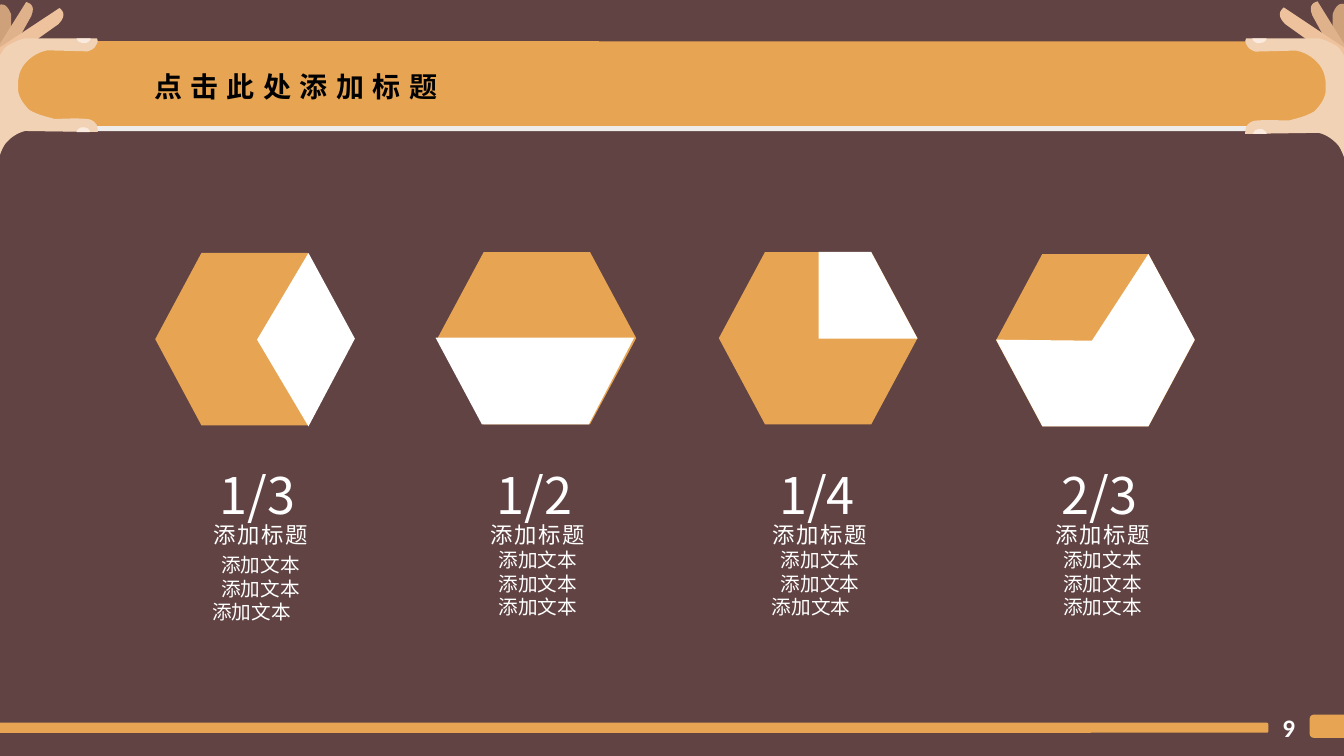
"""Build a slide with four hexagon fractions under a banner held by two hands."""
from dataclasses import dataclass
from typing import Callable

from lxml import etree
from pptx import Presentation
from pptx import util as u
from pptx.dml import color
from pptx.enum import shapes, text
from pptx.oxml import ns

COLORS = {
    "backdrop": "2D0505", "white": "FFFFFF", "black": "000000", "orange": "E7A553",
    "back_finger": "CFA17B", "middle_finger": "DFB28B", "front_finger": "EEC29D",
    "palm": "F1D2B5", "nail": "FBEBDE",
}
FONT = "Noto Sans CJK SC"
Point = tuple[float, float]


@dataclass(frozen=True)
class Outline:
    """A closed outline; two numbers make a line, six make a curve."""
    color: str
    segments: list[tuple[float, ...]]


@dataclass(frozen=True)
class Block:
    """A rectangle, rounded or plain."""
    kind: shapes.MSO_SHAPE
    color: str
    box: tuple[float, float, float, float]
    opacity: int = 100


@dataclass(frozen=True)
class Style:
    """The look of the text in one box."""
    size: int
    color: str = "white"
    font: str = FONT
    bold: bool = False
    spacing: float = 0
    centered: bool = False
    wrap: bool = False


@dataclass(frozen=True)
class Column:
    """One hexagon with its white part and its texts."""
    fraction: str
    hexagon: Point
    text_left: float
    body_top: float
    last_indent: float
    wedge: list[Point]


ROUNDED = shapes.MSO_SHAPE.ROUNDED_RECTANGLE
BACK_BLOCKS = [
    Block(shapes.MSO_SHAPE.RECTANGLE, "backdrop", (0, 0, 13.33, 7.5), 75),
    Block(ROUNDED, "white", (0.3, 0.46, 13.2, 0.84), 90),
    Block(ROUNDED, "orange", (0.13, 0.41, 13.2, 0.84)),
]
FOOTER_BLOCKS = [
    Block(ROUNDED, "orange", (-0.11, 7.17, 12.69, 0.1)),
    Block(ROUNDED, "orange", (12.99, 7.09, 0.57, 0.23)),
]
HAND = [
    Outline("back_finger", [
        (-0.02, 0.75), (-0.02, 0.05), (0, 0.05, 0.06, 0.01, 0.11, 0.14), (0.12, 0.85)]),
    Outline("middle_finger", [
        (-0.11, 0.61), (0.26, 0.02), (0.28, 0.03, 0.36, 0.04, 0.31, 0.16), (-0.04, 0.79)]),
    Outline("front_finger", [
        (-0.03, 0.49), (0.59, 0.08), (0.6, 0.09, 0.68, 0.14, 0.58, 0.24), (-0.04, 0.68)]),
    Outline("palm", [
        (-0.04, 0.69), (-0.02, 0.65, -0.03, 0.59, 0, 0.55),
        (0.03, 0.5, 0.05, 0.46, 0.1, 0.44), (0.14, 0.42, 0.17, 0.4, 0.25, 0.38),
        (0.96, 0.38), (0.98, 0.41, 0.96, 0.44, 0.94, 0.47),
        (0.92, 0.49, 0.9, 0.5, 0.87, 0.51), (0.47, 0.5),
        (0.36, 0.52, 0.27, 0.59, 0.22, 0.67), (0.17, 0.76, 0.18, 0.84, 0.18, 0.9),
        (0.19, 0.98, 0.25, 1.05, 0.29, 1.09), (0.37, 1.14, 0.47, 1.16, 0.54, 1.18),
        (0.65, 1.18, 0.74, 1.17, 0.85, 1.18), (0.91, 1.18, 0.94, 1.21, 0.96, 1.24),
        (0.97, 1.27, 0.97, 1.29, 0.97, 1.31), (0.25, 1.3),
        (0.16, 1.32, 0.09, 1.38, 0.05, 1.43), (0, 1.51, -0.01, 1.58, -0.04, 1.65)]),
    Outline("nail", [
        (0.76, 0.38), (0.76, 0.39, 0.78, 0.42, 0.8, 0.42),
        (0.82, 0.43, 0.85, 0.43, 0.87, 0.42), (0.88, 0.41, 0.9, 0.4, 0.9, 0.38)]),
    Outline("nail", [
        (0.89, 1.31), (0.9, 1.3, 0.87, 1.27, 0.86, 1.27),
        (0.84, 1.26, 0.81, 1.26, 0.79, 1.27), (0.78, 1.28, 0.76, 1.29, 0.76, 1.31)]),
]
COLUMNS = [
    Column("1/3", (1.54, 2.51), 1.7, 5.44, 0.18,
           [(3.06, 2.51), (2.55, 3.37), (3.06, 4.23), (3.52, 3.36)]),
    Column("1/2", (4.34, 2.5), 4.45, 5.39, 0,
           [(4.32, 3.35), (4.78, 4.21), (5.84, 4.21), (6.29, 3.35)]),
    Column("1/4", (7.13, 2.5), 7.25, 5.39, 0.18,
           [(8.12, 2.5), (8.12, 3.36), (9.1, 3.36), (8.64, 2.5)]),
    Column("2/3", (9.88, 2.52), 10.05, 5.39, 0,
           [(9.88, 3.37), (10.34, 4.23), (11.39, 4.23), (11.85, 3.37),
            (11.39, 2.52), (10.83, 3.38)]),
]


def paint(shape, color_name: str, opacity: int = 100) -> None:
    """Give a shape a flat fill without line or shadow."""
    shape.shadow.inherit = False
    shape.line.fill.background()
    shape.fill.solid()
    shape.fill.fore_color.rgb = color.RGBColor.from_string(COLORS[color_name])
    if opacity < 100:
        fill_color = shape._element.spPr.find(".//" + ns.qn("a:srgbClr"))
        etree.SubElement(fill_color, ns.qn("a:alpha")).set("val", str(opacity * 1000))


def draw_block(slide, block: Block):
    """Draw a block and return its shape."""
    shape = slide.shapes.add_shape(block.kind, *map(u.Inches, block.box))
    paint(shape, block.color, block.opacity)
    return shape


def flatten(segments: list[tuple[float, ...]], steps: int = 8) -> list[Point]:
    """Turn lines and curves into points."""
    points: list[Point] = []
    for segment in segments:
        if len(segment) == 2:
            points.append((segment[0], segment[1]))
            continue
        start = points[-1]
        for step in range(1, steps + 1):
            t = step / steps
            s = 1 - t
            weights = (s ** 3, 3 * s * s * t, 3 * s * t * t, t ** 3)
            x, y = (sum(weight * value for weight, value in
                        zip(weights, (start[axis], *segment[axis::2]))) for axis in (0, 1))
            points.append((x, y))
    return points


def draw_polygon(slide, points: list[Point], color_name: str) -> None:
    """Draw a closed polygon."""
    corners = [(u.Inches(x), u.Inches(y)) for x, y in points]
    builder = slide.shapes.build_freeform(*corners[0])
    builder.add_line_segments(corners[1:], close=True)
    paint(builder.convert_to_shape(), color_name)


def draw_hand(slide, place: Callable[[float, float], Point]) -> None:
    """Draw a hand with every point moved by the given rule."""
    for outline in HAND:
        points = [place(x, y) for x, y in flatten(outline.segments)]
        draw_polygon(slide, points, outline.color)


def draw_text(slide, lines: list[str], box: tuple[float, float, float, float],
              style: Style, last_indent: float = 0) -> None:
    """Draw a text box, one paragraph a line."""
    frame = slide.shapes.add_textbox(*map(u.Inches, box)).text_frame
    frame.word_wrap = style.wrap
    frame.auto_size = text.MSO_AUTO_SIZE.SHAPE_TO_FIT_TEXT
    frame.text = "\n".join(lines)
    for paragraph in frame.paragraphs:
        if style.centered:
            paragraph.alignment = text.PP_ALIGN.CENTER
        font = paragraph.font
        font.size, font.bold, font.name = u.Pt(style.size), style.bold, style.font
        font.color.rgb = color.RGBColor.from_string(COLORS[style.color])
        properties = paragraph._p.get_or_add_pPr().find(ns.qn("a:defRPr"))
        properties.set("spc", str(round(style.spacing * 100)))
        etree.SubElement(properties, ns.qn("a:ea")).set("typeface", style.font)
    if last_indent:
        frame.paragraphs[-1]._p.get_or_add_pPr().set("marR", str(u.Inches(last_indent)))


def draw_column(slide, column: Column) -> None:
    """Draw a hexagon, its white part and the texts below."""
    hexagon = draw_block(slide, Block(shapes.MSO_SHAPE.HEXAGON, "orange",
                                      (*column.hexagon, 1.97, 1.71)))
    hexagon.adjustments[0] = 0.268
    draw_polygon(slide, column.wedge, "white")
    left = column.text_left
    draw_text(slide, [column.fraction], (left + 0.38, 4.56, 1.01, 0.71), Style(36))
    draw_text(slide, ["添加标题"], (left + 0.3, 5.12, 1.17, 0.37),
              Style(16, spacing=1.2, centered=True))
    draw_text(slide, ["添加文本"] * 3, (left, column.body_top, 1.77, 0.81),
              Style(14, centered=True, wrap=True), column.last_indent)


def main() -> None:
    """Build and save the presentation."""
    presentation = Presentation()
    presentation.slide_width, presentation.slide_height = u.Inches(13.33), u.Inches(7.5)
    slide = presentation.slides.add_slide(presentation.slide_layouts[6])
    for block in BACK_BLOCKS:
        draw_block(slide, block)
    draw_hand(slide, lambda x, y: (x, y))
    draw_hand(slide, lambda x, y: (13.33 - 1.01 * x, 0.38 + 1.02 * (y - 0.38)))
    for column in COLUMNS:
        draw_column(slide, column)
    for block in FOOTER_BLOCKS:
        draw_block(slide, block)
    draw_text(slide, ["9"], (12.62, 7.02, 0.33, 0.4), Style(18, font="Calibri", bold=True))
    draw_text(slide, ["点击此处添加标题"], (1.43, 0.64, 3.54, 0.44),
              Style(20, "black", bold=True, spacing=6, wrap=True))
    presentation.save("out.pptx")


if __name__ == "__main__":
    main()
